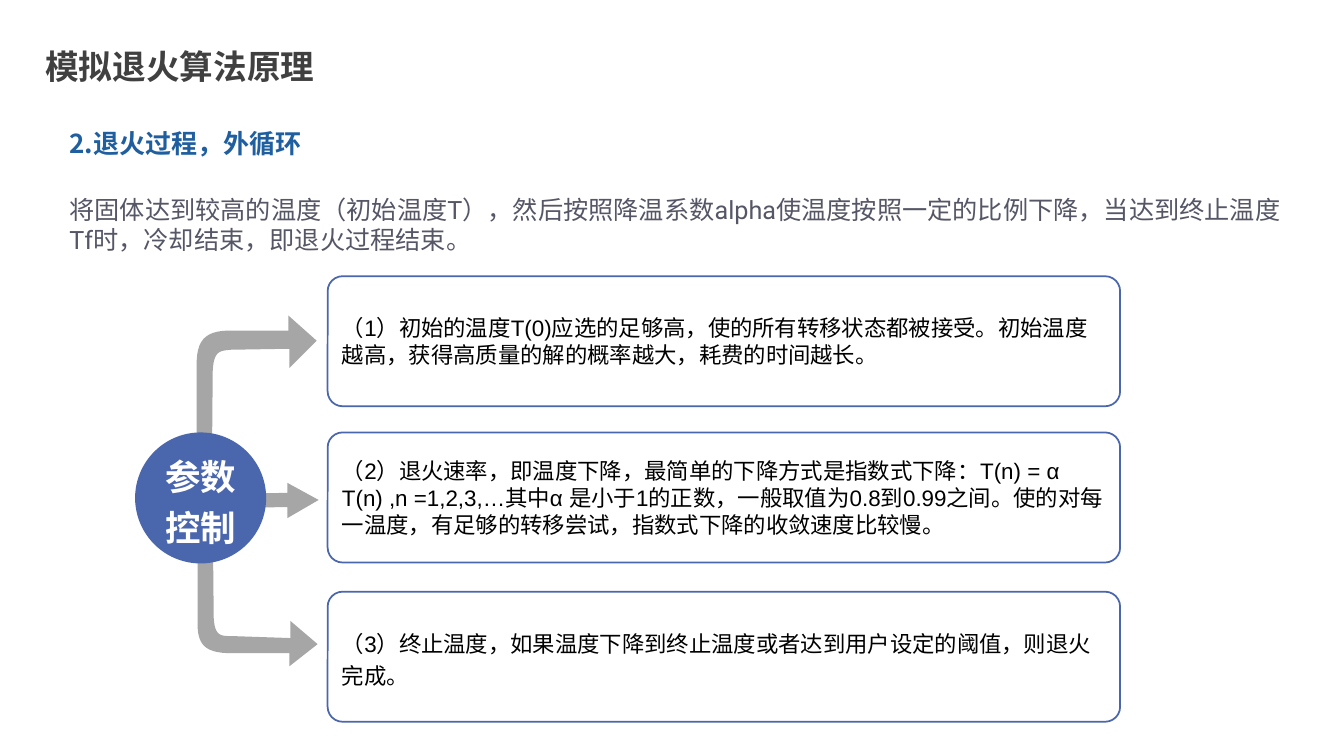
from lxml.etree import SubElement
from pptx import Presentation
from pptx.dml.color import RGBColor
from pptx.enum.shapes import MSO_SHAPE as Kind
from pptx.enum.text import MSO_ANCHOR as Anchor, MSO_AUTO_SIZE as Fit, PP_ALIGN as Align
from pptx.oxml.ns import qn
from pptx.util import Inches, Pt

CJK = "Noto Sans CJK SC"
BLUE, GRAY = "4A66AC", "A6A6A6"
STEPS = [
    (2.74, 1, "（1）初始的温度T(0)应选的足够高，使的所有转移状态都被接受。"
     "初始温度越高，获得高质量的解的概率越大，耗费的时间越长。"),
    (4.29, 1, "（2）退火速率，即温度下降，最简单的下降方式是指数式下降："
     "T(n) = α T(n) ,n =1,2,3,…其中α 是小于1的正数，一般取值为0.8到0.99之间。"
     "使的对每一温度，有足够的转移尝试，指数式下降的收敛速度比较慢。"),
    (5.87, 1.2, "（3）终止温度，如果温度下降到终止温度或者达到用户设定的阈值，则退火完成。"),
]
DOWN = [(2.11, 5.14), (2.12, 6.13), (2.13, 6.31, 2.19, 6.31, 2.29, 6.31),
        (2.88, 6.33), (2.88, 6.16), (3.15, 6.39), (2.87, 6.61), (2.87, 6.48),
        (2.26, 6.48), (2.03, 6.47, 1.96, 6.39, 1.96, 6.19), (1.96, 5.12),
        (1.98, 4.95, 2.08, 4.96, 2.11, 5.14)]
AHEAD = [(1.74, 5.05), (2.85, 5.03), (2.85, 5.14), (3.16, 4.96),
         (2.85, 4.79), (2.85, 4.89), (1.74, 4.9)]
UP = [(2.1, 4.83), (2.11, 3.68), (2.12, 3.48, 2.18, 3.48, 2.29, 3.47),
      (2.87, 3.46), (2.87, 3.65), (3.14, 3.38), (2.86, 3.13), (2.86, 3.28),
      (2.25, 3.28), (2.03, 3.29, 1.95, 3.38, 1.95, 3.62), (1.95, 4.85),
      (1.97, 5.06, 2.07, 5.04, 2.1, 4.83)]


def rgb(code):
    """Turn a hex string into a colour."""
    return RGBColor.from_string(code)


def write(shape, text, size=16, font="Arial", color="000000", bold=False,
          align=Align.LEFT, anchor=Anchor.MIDDLE, space=1, wrap=True):
    """Put formatted text into a shape."""
    frame = shape.text_frame
    frame.text = text
    frame.word_wrap = wrap
    frame.auto_size = Fit.NONE
    frame.vertical_anchor = anchor
    para = frame.paragraphs[0]
    para.alignment, para.line_spacing = align, space
    run = para.runs[0]
    run.font.size, run.font.bold, run.font.name = Pt(size), bold, font
    run.font.color.rgb = rgb(color)
    SubElement(run.font._element, qn("a:ea"), typeface=CJK)


def place(shape, *box):
    """Move and size a shape in inches."""
    shape.left, shape.top, shape.width, shape.height = map(Inches, box)


def paint(shape, fill=None, line=None):
    """Set fill and outline and drop the shadow."""
    shape.shadow.inherit = False
    if fill:
        shape.fill.solid()
        shape.fill.fore_color.rgb = rgb(fill)
    else:
        shape.fill.background()
    if line:
        shape.line.color.rgb = rgb(line)
        shape.line.width = Pt(1.25)
    else:
        shape.line.fill.background()


def label(slide, box, text, **style):
    """Add a text box."""
    write(slide.shapes.add_textbox(*map(Inches, box)), text, **style)


def block(slide, kind, box, text, fill=None, line=None, **style):
    """Add a preset shape with text."""
    shape = slide.shapes.add_shape(kind, *map(Inches, box))
    if kind == Kind.ROUNDED_RECTANGLE:
        shape.adjustments[0] = 0.115
    paint(shape, fill, line)
    write(shape, text, **style)


def trace(path, steps=12):
    """Turn corners and cubic curves into points."""
    points = []
    for item in path:
        if len(item) == 2:
            points.append(item)
            continue
        a, b, c, d = points[-1], item[:2], item[2:4], item[4:]
        for n in range(1, steps + 1):
            t = n / steps
            u = 1 - t
            points.append(tuple(
                u**3 * p + 3 * u * u * t * q + 3 * u * t * t * r + t**3 * s
                for p, q, r, s in zip(a, b, c, d)))
    return points


def arrow(slide, path):
    """Draw a gray block arrow along an outline."""
    first, *rest = [(Inches(x), Inches(y)) for x, y in trace(path)]
    build = slide.shapes.build_freeform(*first)
    build.add_line_segments(rest, close=True)
    paint(build.convert_to_shape(), GRAY)


def main():
    """Build and save the slide."""
    deck = Presentation()
    deck.slide_width, deck.slide_height = Inches(13.33), Inches(7.5)
    slide = deck.slides.add_slide(deck.slide_layouts[5])
    title = slide.shapes.title
    place(title, 0.35, 0.41, 2.89, 0.5)
    write(title, "模拟退火算法原理", size=24, font=CJK, color="404040",
          bold=True, anchor=Anchor.TOP, wrap=False)
    label(slide, (0.59, 1.1, 3.85, 0.64), "2.退火过程，外循环",
          size=18.6, font=CJK, color="1F5FA0", bold=True)
    label(slide, (0.59, 1.88, 12.43, 0.71),
          "将固体达到较高的温度（初始温度T），然后按照降温系数alpha使温度按照一定的比例下降，"
          "当达到终止温度Tf时，冷却结束，即退火过程结束。",
          size=18, font="Roboto", color="555666", anchor=Anchor.TOP)
    for path in (DOWN, AHEAD, UP):
        arrow(slide, path)
    for top, space, text in STEPS:
        block(slide, Kind.ROUNDED_RECTANGLE, (3.25, top, 7.86, 1.29), text,
              line=BLUE, space=space)
    block(slide, Kind.OVAL, (1.34, 4.29, 1.3, 1.3), "参数控制", fill=BLUE,
          size=25.3, color="FFFFFF", bold=True, align=Align.CENTER, space=1.2)
    deck.save("out.pptx")


if __name__ == "__main__":
    main()
